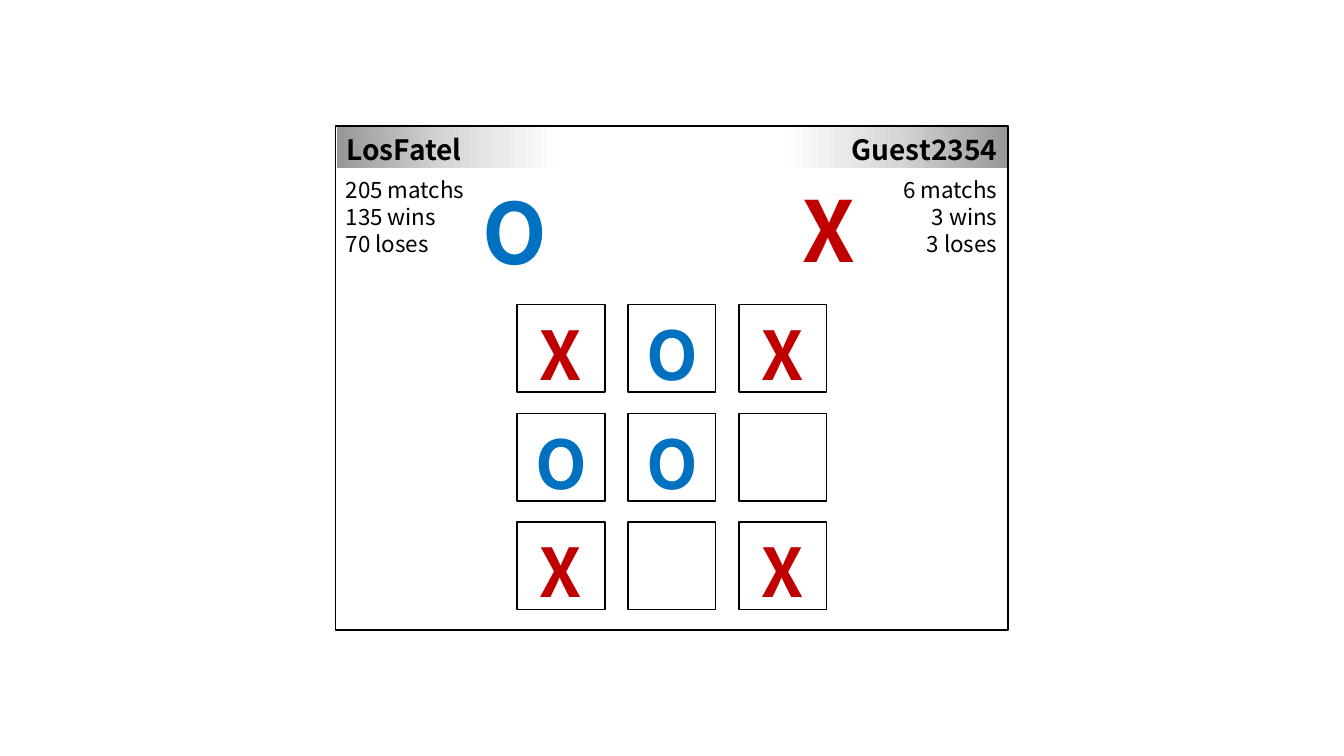
import copy

import pptx
import pptx.dml.color
import pptx.enum.shapes
import pptx.enum.text
import pptx.oxml.ns
import pptx.util

Inches = pptx.util.Inches
Pt = pptx.util.Pt
RGB = pptx.dml.color.RGBColor
ALIGN = pptx.enum.text.PP_ALIGN
ANCHOR = pptx.enum.text.MSO_ANCHOR
RECT = pptx.enum.shapes.MSO_SHAPE.RECTANGLE

# Content: name, angle, bar left, alignment, record, record left, mark, mark spot
PLAYERS = [
    ("LosFatel", 0, 3.34, ALIGN.LEFT,
     ["205 matchs", "135 wins", "70 loses"], 3.33, "O", (4.65, 1.67)),
    ("Guest2354", 180, 7.79, ALIGN.RIGHT,
     ["6 matchs", "3 wins", "3 loses"], 7.14, "X", (7.77, 1.65)),
]
BOARD = ["XOX", "OO ", "X X"]

FONT = "Noto Sans CJK KR"
BLACK = RGB(0, 0, 0)
WHITE = RGB(255, 255, 255)
INK = {"O": RGB(0x00, 0x70, 0xC0), "X": RGB(0xC0, 0x00, 0x00)}
FADE = [(0, RGB(0x97, 0x97, 0x97)), (0.5, RGB(0xD7, 0xD7, 0xD7)), (1, WHITE)]

# Board grid
LEFT, TOP = 5.13, 3.02
CELL = 0.87
STEP_X, STEP_Y = 1.1, 1.08

LEADING = 1.21  # line height per point of type
DROP = 0.07     # baseline shift per point of type

deck = pptx.Presentation()
deck.slide_width, deck.slide_height = Inches(13.33), Inches(7.5)
slide = deck.slides.add_slide(deck.slide_layouts[6])


def write(shape, lines, size, color, align, bold=True, anchor=ANCHOR.MIDDLE):
    frame = shape.text_frame
    frame.word_wrap = True
    frame.vertical_anchor = anchor
    frame.margin_top = Pt(3.6 + DROP * size)
    frame.margin_bottom = Pt(max(0, 3.6 - DROP * size))
    frame.text = "\n".join(lines)
    for para in frame.paragraphs:
        para.alignment = align
        para.line_spacing = Pt(LEADING * size)
        para.font.name = FONT
        para.font.size = Pt(size)
        para.font.bold = bold
        para.font.color.rgb = color


def box(x, y, w, h):
    shape = slide.shapes.add_shape(RECT, Inches(x), Inches(y), Inches(w), Inches(h))
    shape.shadow.inherit = False
    shape.fill.solid()
    shape.fill.fore_color.rgb = WHITE
    shape.line.color.rgb = BLACK
    shape.line.width = Pt(1)
    return shape


def label(x, y, w, h, *style):
    shape = slide.shapes.add_textbox(Inches(x), Inches(y), Inches(w), Inches(h))
    write(shape, *style, anchor=ANCHOR.TOP)


def fade(shape, angle):
    shape.line.fill.background()
    shape.fill.gradient()
    shape.fill.gradient_angle = angle
    stops = shape.element.spPr.find(".//" + pptx.oxml.ns.qn("a:gsLst"))
    stops.append(copy.deepcopy(stops[0]))
    for stop, (place, color) in zip(shape.fill.gradient_stops, FADE):
        stop.position = place
        stop.color.rgb = color


# Window
box(3.33, 1.25, 6.67, 5)

# Players
for name, angle, bar_x, align, record, record_x, mark, (x, y) in PLAYERS:
    bar = box(bar_x, 1.26, 2.2, 0.41)
    fade(bar, angle)
    write(bar, [name], 20, BLACK, align)
    label(record_x, 1.68, 2.85, 0.91, record, 16, BLACK, align, False)
    label(x, y, 0.91, 1.11, [mark], 60, INK[mark], ALIGN.CENTER)

# Board
for row, marks in enumerate(BOARD):
    for col, mark in enumerate(marks):
        cell = box(LEFT + col * STEP_X, TOP + row * STEP_Y, CELL, CELL)
        if mark in INK:
            write(cell, [mark], 48, INK[mark], ALIGN.CENTER)

deck.save("out.pptx")
